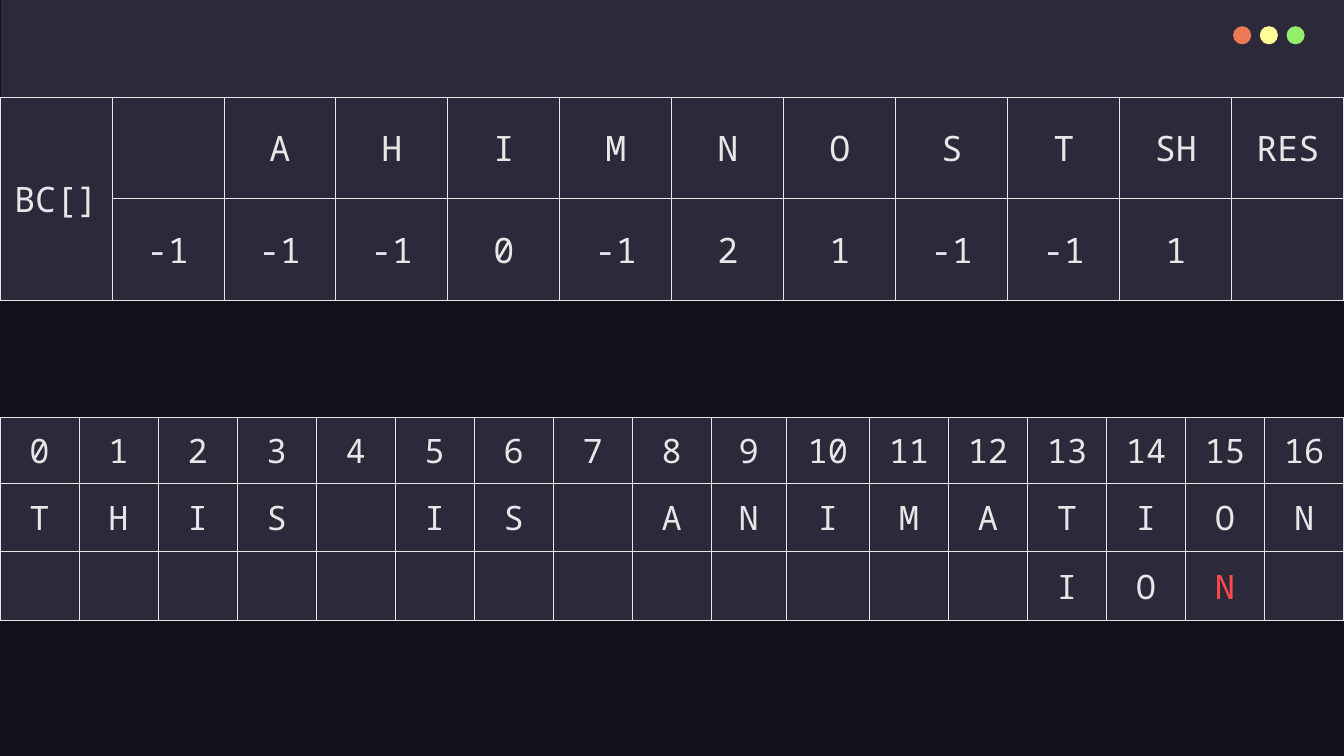
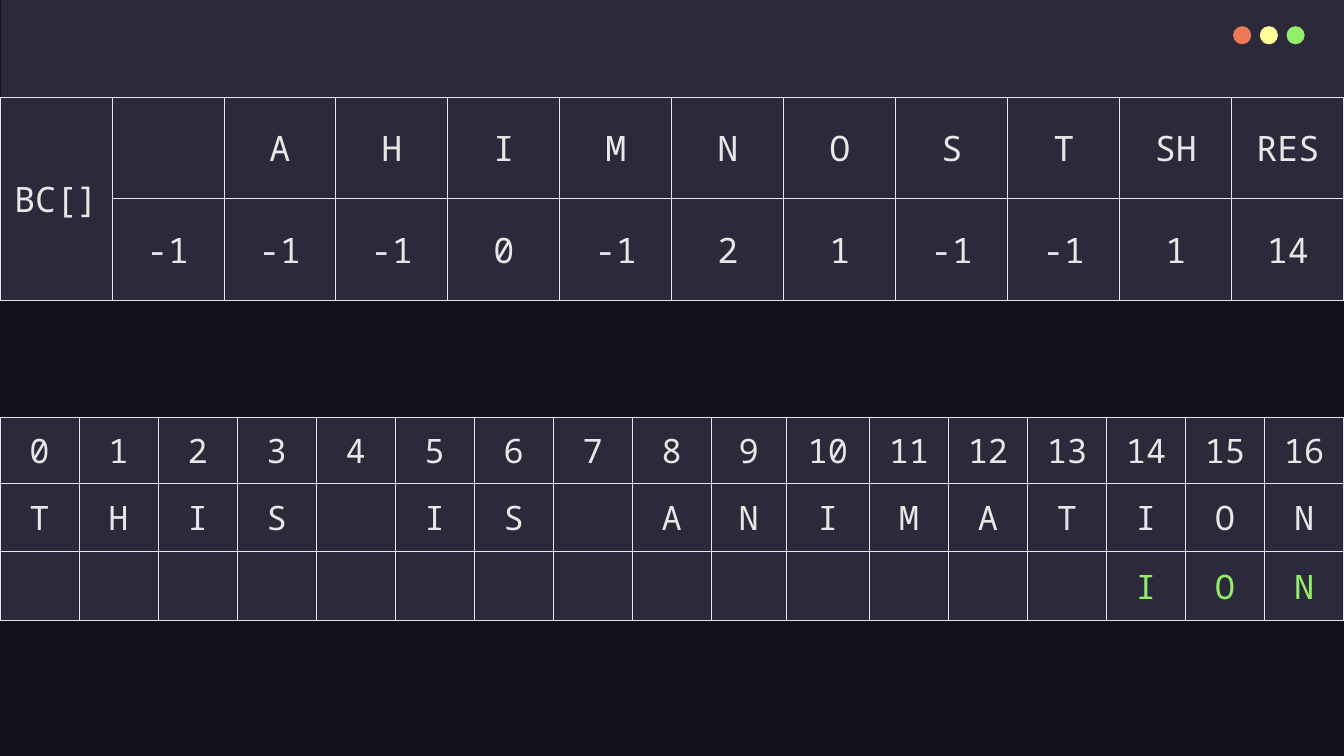
from dataclasses import dataclass

from lxml import etree
from pptx import Presentation, util as u
from pptx.dml.color import RGBColor
from pptx.enum import shapes, text
from pptx.oxml import ns


@dataclass(frozen=True)
class Theme:
    back: str = "10111A"
    panel: str = "2C293A"
    ink: str = "E7E7E7"
    red: str = "FD4A4A"
    green: str = "94EE6B"
    dots: tuple = ("EC7955", "FFFF99", "94EE6B")
    font: str = "Noto Sans Mono"
    small: int = 24
    large: int = 25
    line: float = 0.75


THEME = Theme()
WIDTH, HEIGHT = 13.33, 7.5
PHRASE = "THIS IS ANIMATION"
COUNT = len(PHRASE)
KEYS = ["BC[]", "", *"AHIMNOST", "SH", "RES"]
SHIFTS = ["", "-1", "-1", "-1", "0", "-1", "2", "1", "-1", "-1", "1"]


def paint(fill, color):
    fill.solid()
    fill.fore_color.rgb = RGBColor.from_string(color)


def add_block(owner, kind, left, top, width, height, color):
    block = owner.add_shape(kind, *map(u.Inches, (left, top, width, height)))
    block.shadow.inherit = False
    paint(block.fill, color)
    block.line.fill.background()


def add_frame(slide):
    add_block(slide.shapes, shapes.MSO_SHAPE.RECTANGLE, 0.01, 0, WIDTH, 1.69, THEME.panel)
    group = slide.shapes.add_group_shape()
    for i, color in enumerate(THEME.dots):
        add_block(group.shapes, shapes.MSO_SHAPE.OVAL, 12.23 + 0.265 * i, 0.26, 0.18, 0.18, color)


def add_edges(cell):
    props = cell._tc.get_or_add_tcPr()
    for side in ("lnL", "lnR", "lnT", "lnB"):
        edge = etree.SubElement(props, ns.qn("a:" + side), w=str(u.Pt(THEME.line)))
        fill = etree.SubElement(edge, ns.qn("a:solidFill"))
        etree.SubElement(fill, ns.qn("a:srgbClr"), val=THEME.ink)


def fill_cell(cell, words, size, color):
    add_edges(cell)
    paint(cell.fill, THEME.panel)
    cell.vertical_anchor = text.MSO_ANCHOR.MIDDLE
    cell.margin_left = cell.margin_right = u.Inches(0.13)
    cell.margin_top = cell.margin_bottom = u.Inches(0.1)
    cell.text = words
    para = cell.text_frame.paragraphs[0]
    para.alignment = text.PP_ALIGN.CENTER
    para.font.name = THEME.font
    para.font.size = u.Pt(size)
    para.font.color.rgb = RGBColor.from_string(color)


def add_grid(slide, top, widths, heights, rows, size, marks):
    frame = slide.shapes.add_table(
        len(rows), len(widths), 0, u.Inches(top), u.Inches(WIDTH), u.Inches(sum(heights)))
    table = frame.table
    table.first_row = table.horz_banding = False
    for column, width in zip(table.columns, widths):
        column.width = u.Inches(width)
    for row, height in zip(table.rows, heights):
        row.height = u.Inches(height)
    for r, row in enumerate(rows):
        for c, words in enumerate(row):
            fill_cell(table.cell(r, c), words, size, marks.get((r, c), THEME.ink))
    return table


def add_match(slide, start, marks):
    step = WIDTH / COUNT
    widths = [step] * COUNT
    widths[9] -= 0.04
    widths[10] += 0.04
    rows = [
        [str(i) for i in range(COUNT)],
        [letter.strip() for letter in PHRASE],
        [""] * start + list("ION") + [""] * (COUNT - start - 3),
    ]
    colors = {(2, column): color for column, color in marks.items()}
    add_grid(slide, 4.14, widths, [0.65, 0.68, 0.68], rows, THEME.small, colors)


def add_shifts(slide, result):
    widths = [WIDTH / len(KEYS)] * len(KEYS)
    rows = [KEYS, SHIFTS + [result]]
    table = add_grid(slide, 0.97, widths, [1, 1.01], rows, THEME.large, {})
    table.cell(0, 0).merge(table.cell(1, 0))


def main():
    deck = Presentation()
    deck.slide_width, deck.slide_height = u.Inches(WIDTH), u.Inches(HEIGHT)
    paint(deck.slide_master.background.fill, THEME.back)
    steps = [
        (13, {15: THEME.red}, ""),
        (14, dict.fromkeys((14, 15, 16), THEME.green), "14"),
    ]
    for start, marks, result in steps:
        slide = deck.slides.add_slide(deck.slide_layouts[6])
        add_frame(slide)
        add_match(slide, start, marks)
        add_shifts(slide, result)
    deck.save("out.pptx")


if __name__ == "__main__":
    main()
